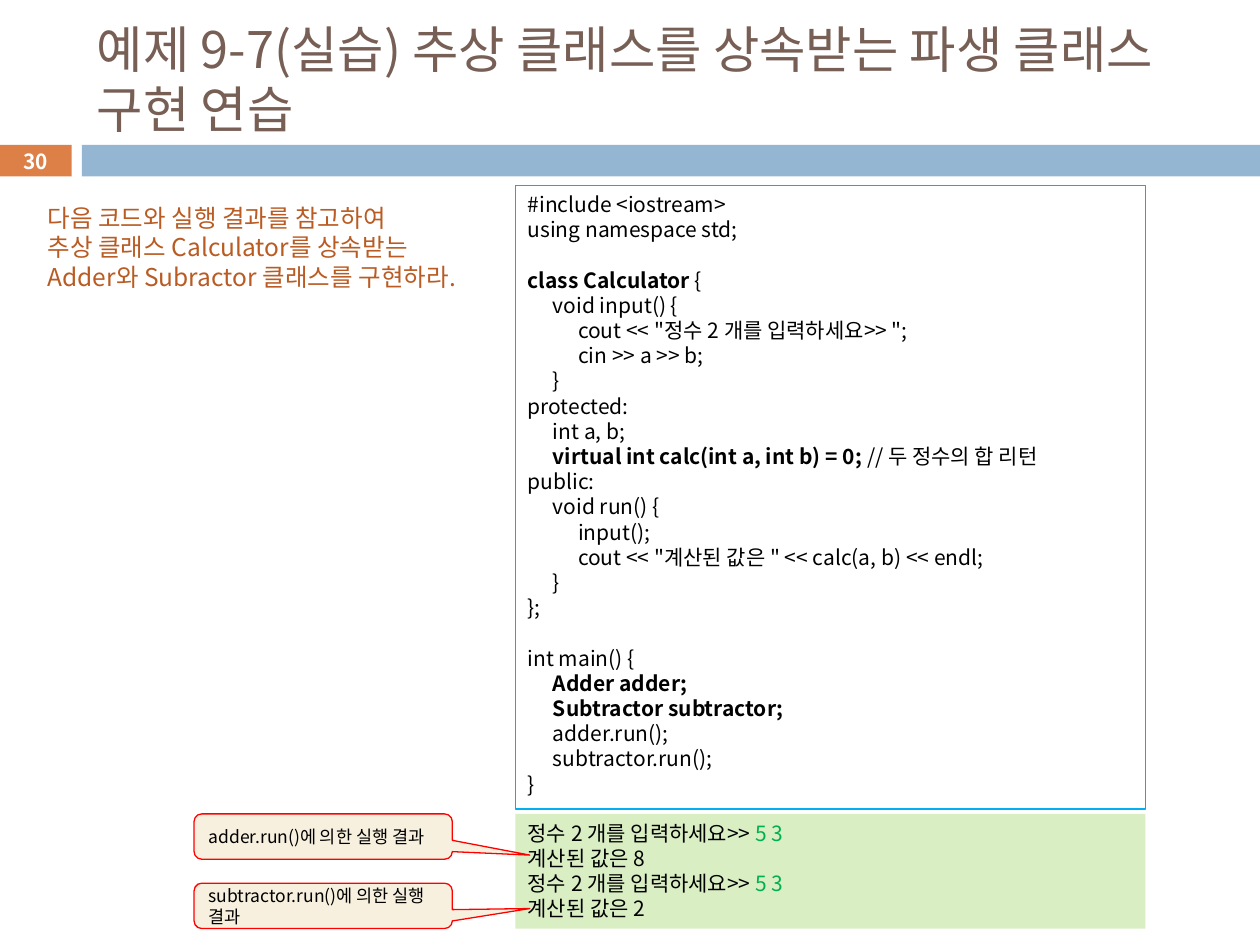
"""Build the slide for the abstract class exercise in C++."""
from dataclasses import dataclass
from typing import Optional

from lxml import etree
from pptx import Presentation
from pptx import util as u
from pptx.dml.color import RGBColor
from pptx.enum import shapes, text
from pptx.oxml.ns import qn


@dataclass(frozen=True)
class Theme:
    font: str = "Noto Sans CJK KR"
    title: str = "775F55"
    orange: str = "DD8047"
    blue: str = "94B6D2"
    task: str = "B95B22"
    code_line: str = "00B0F0"
    output: str = "DAEEC4"
    typed: str = "00B050"
    note: str = "F7F0DE"
    note_line: str = "FF0000"
    black: str = "000000"
    white: str = "FFFFFF"
    title_size: float = 28.8
    task_size: float = 14
    code_size: float = 12
    number_size: float = 11.9
    note_size: float = 10
    leading: float = 1.2
    tab: float = 0.2


@dataclass(frozen=True)
class Box:
    left: float
    top: float
    width: float
    height: float
    fill: Optional[str] = None
    line: Optional[str] = None


@dataclass(frozen=True)
class Callout:
    box: Box
    words: str
    tip_y: float


T = Theme()

CODE = """#include <iostream>
using namespace std;

**class Calculator **{
\tvoid input() {
\t\tcout << "정수 2 개를 입력하세요>> ";
\t\tcin >> a >> b;
\t}
protected:
\tint a, b;
\t**virtual int calc(int a, int b) = 0; **// 두 정수의 합 리턴
public:
\tvoid run() {
\t\tinput();
\t\tcout << "계산된 값은 " << calc(a, b) << endl;
\t}
};

int main() {
\t**Adder adder;**
\t**Subtractor subtractor;**
\tadder.run();
\tsubtractor.run();
}"""

OUTPUT = """정수 2 개를 입력하세요>> **5 3**
계산된 값은 8
정수 2 개를 입력하세요>> **5 3**
계산된 값은 2"""

TASK = """다음 코드와 실행 결과를 참고하여
추상 클래스 Calculator를 상속받는
Adder와 Subractor 클래스를 구현하라."""

CALLOUTS = [
    Callout(Box(1.54, 6.46, 2.05, 0.36, T.note, T.note_line),
            "adder.run()에 의한 실행 결과", 0.41),
    Callout(Box(1.54, 7.01, 2.05, 0.36, T.note, T.note_line),
            "subtractor.run()에 의한 실행 결과", 0.06),
]


def add_box(s, box: Box, kind=shapes.MSO_SHAPE.RECTANGLE):
    """Add a preset shape with its fill and outline."""
    sp = s.shapes.add_shape(kind, *map(u.Inches, (box.left, box.top, box.width, box.height)))
    sp.shadow.inherit = False
    if box.fill:
        sp.fill.solid()
        sp.fill.fore_color.rgb = RGBColor.from_string(box.fill)
    else:
        sp.fill.background()
    if box.line:
        sp.line.color.rgb = RGBColor.from_string(box.line)
        sp.line.width = u.Pt(0.75)
    else:
        sp.line.fill.background()
    return sp


def add_label(s, box: Box):
    """Add an empty text box."""
    return s.shapes.add_textbox(*map(u.Inches, (box.left, box.top, box.width, box.height)))


def add_tabs(p, count: int = 2) -> None:
    """Give a paragraph evenly spaced tab stops."""
    tabs = etree.SubElement(p._p.get_or_add_pPr(), qn("a:tabLst"))
    for n in range(1, count + 1):
        etree.SubElement(tabs, qn("a:tab"), pos=str(u.Inches(n * T.tab)), algn="l")


def write(sp, words: str, *, size: float, color: str = T.black, bold: bool = False,
          mark_color: Optional[str] = None, mark_bold: bool = False, tabs: bool = False,
          align=text.PP_ALIGN.LEFT, anchor=text.MSO_ANCHOR.TOP) -> None:
    """Write lines of text; parts between double asterisks take the mark format."""
    tf = sp.text_frame
    tf.word_wrap = True
    tf.vertical_anchor = anchor
    pitch = u.Pt(round(size * T.leading, 1))
    p, gap = None, 0
    for line in words.split("\n"):
        if not line:
            gap += pitch
            continue
        p = tf.add_paragraph() if p is not None else tf.paragraphs[0]
        p.alignment = align
        p.line_spacing = pitch
        if gap:
            p.space_before = u.Emu(gap)
            gap = 0
        if tabs:
            add_tabs(p)
        for n, part in enumerate(line.split("**")):
            if not part:
                continue
            marked = n % 2 == 1
            r = p.add_run()
            r.text = part
            r.font.name = T.font
            r.font.size = u.Pt(size)
            r.font.bold = bold or (marked and mark_bold)
            tint = mark_color if marked and mark_color else color
            r.font.color.rgb = RGBColor.from_string(tint)
            ea = etree.SubElement(r.font._element, qn("a:ea"))
            ea.set("typeface", T.font)


def add_callout(s, note: Callout) -> None:
    """Add a rounded callout whose tip points at the program output."""
    sp = add_box(s, note.box, shapes.MSO_SHAPE.ROUNDED_RECTANGULAR_CALLOUT)
    for n, value in enumerate((0.8, note.tip_y, 0.17)):
        sp.adjustments[n] = value
    write(sp, note.words, size=T.note_size, anchor=text.MSO_ANCHOR.MIDDLE)


def main() -> None:
    """Draw the slide and save it."""
    prs = Presentation()
    prs.slide_width, prs.slide_height = u.Inches(10), u.Inches(7.5)
    s = prs.slides.add_slide(prs.slide_layouts[6])
    middle = text.MSO_ANCHOR.MIDDLE

    number = add_box(s, Box(0, 1.15, 0.57, 0.25, T.orange))
    write(number, "30", size=T.number_size, color=T.white, bold=True,
          align=text.PP_ALIGN.CENTER, anchor=middle)
    add_box(s, Box(0.65, 1.15, 9.35, 0.25, T.blue))
    write(add_label(s, Box(0.67, 0.25, 8.92, 0.74)),
          "예제 9-7(실습) 추상 클래스를 상속받는 파생 클래스 구현 연습",
          size=T.title_size, color=T.title, anchor=middle)
    write(add_box(s, Box(4.09, 1.47, 5, 4.95, line=T.code_line)), CODE,
          size=T.code_size, mark_bold=True, tabs=True)
    write(add_box(s, Box(4.09, 6.46, 5, 0.91, T.output)), OUTPUT,
          size=T.code_size, mark_color=T.typed)
    write(add_label(s, Box(0.28, 1.56, 3.5, 0.81)), TASK, size=T.task_size, color=T.task)
    for note in CALLOUTS:
        add_callout(s, note)

    prs.save("out.pptx")


if __name__ == "__main__":
    main()
